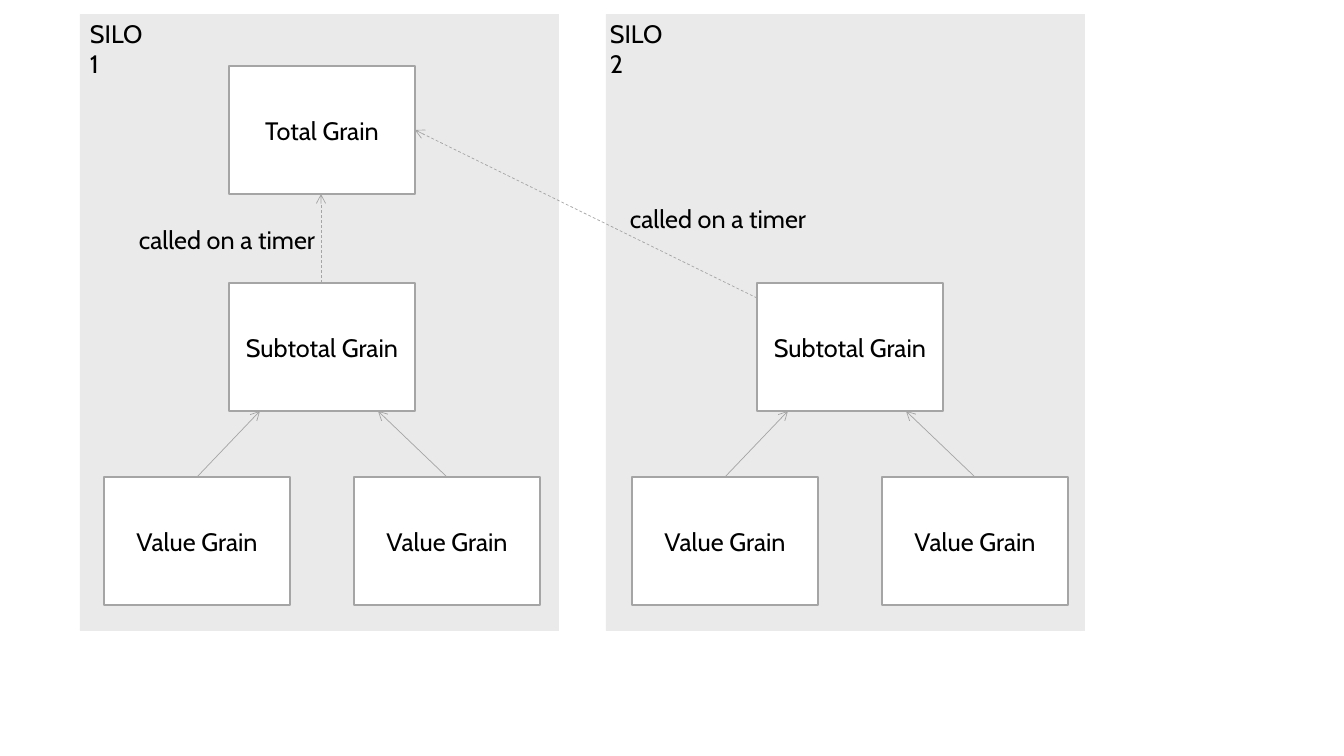
"""Build a slide of grains in two silos reporting subtotals to one total."""
from lxml.etree import SubElement
from pptx import Presentation
from pptx.dml.color import RGBColor
from pptx.enum.dml import MSO_LINE
from pptx.enum.shapes import MSO_CONNECTOR, MSO_SHAPE
from pptx.enum.text import MSO_ANCHOR, PP_ALIGN
from pptx.oxml.ns import qn
from pptx.util import Pt

PX = 914400 / 100.8
GRAIN_W, GRAIN_H = 186, 128
TOTAL_Y, SUBTOTAL_Y, VALUE_Y = 66, 283, 477
SUBTOTAL_X = 229
SILO_STEP = 528
color = RGBColor.from_string


def emu(*pixels):
    return [round(p * PX) for p in pixels]


def write(frame, wording, align):
    frame.text = wording
    for paragraph in frame.paragraphs:
        paragraph.alignment = align
        for run in paragraph.runs:
            run.font.size = Pt(18)
            run.font.name = "Cabin"
            run.font.color.rgb = color("000000")


prs = Presentation()
prs.slide_width, prs.slide_height = emu(1344, 756)
shapes = prs.slides.add_slide(prs.slide_layouts[6]).shapes

for silo_x in (606, 80):
    silo = shapes.add_shape(MSO_SHAPE.RECTANGLE, *emu(silo_x, 14, 479, 617))
    silo.shadow.inherit = False
    silo.fill.solid()
    silo.fill.fore_color.rgb = color("BFBFBF")
    tint = silo.fill._xPr.find(".//" + qn("a:srgbClr"))
    SubElement(tint, qn("a:alpha")).set("val", "32000")
    silo.line.fill.background()

grains = [("Total Grain", SUBTOTAL_X, TOTAL_Y)]
calls = [
    (321, SUBTOTAL_Y, 321, TOTAL_Y + GRAIN_H, True),
    (757, 298, SUBTOTAL_X + GRAIN_W, 130, True),
]
for shift in (0, SILO_STEP):
    grains.append(("Subtotal Grain", SUBTOTAL_X + shift, SUBTOTAL_Y))
    for value_x, target_x in ((104, 260), (354, 378)):
        grains.append(("Value Grain", value_x + shift, VALUE_Y))
        calls.append((value_x + GRAIN_W // 2 + shift, VALUE_Y,
                      target_x + shift, SUBTOTAL_Y + GRAIN_H, False))

for wording, x, y in grains:
    grain = shapes.add_shape(MSO_SHAPE.RECTANGLE, *emu(x, y, GRAIN_W, GRAIN_H))
    grain.shadow.inherit = False
    grain.fill.solid()
    grain.fill.fore_color.rgb = color("FFFFFF")
    grain.line.color.rgb = color("A5A5A5")
    grain.line.width = Pt(1)
    grain.text_frame.vertical_anchor = MSO_ANCHOR.MIDDLE
    write(grain.text_frame, wording, PP_ALIGN.CENTER)

for x1, y1, x2, y2, timed in calls:
    call = shapes.add_connector(MSO_CONNECTOR.STRAIGHT, *emu(x1, y1, x2, y2))
    call.line.color.rgb = color("A5A5A5")
    call.line.width = Pt(0.5)
    if timed:
        call.line.dash_style = MSO_LINE.DASH
    SubElement(call.line._get_or_add_ln(), qn("a:tailEnd")).set("type", "arrow")
    SubElement(call._element.spPr, qn("a:effectLst"))

for wording, x, y, width in (
    ("called on a timer", 620, 198, 199),
    ("called on a timer", 129, 219, 199),
    ("SILO\v1", 80, 13, 78),
    ("SILO\v2", 600, 13, 82),
):
    label = shapes.add_textbox(*emu(x, y, width, 40))
    label.text_frame.word_wrap = False
    write(label.text_frame.paragraphs[0]._parent, wording, PP_ALIGN.LEFT)
    label.text_frame.vertical_anchor = MSO_ANCHOR.TOP

prs.save("out.pptx")
